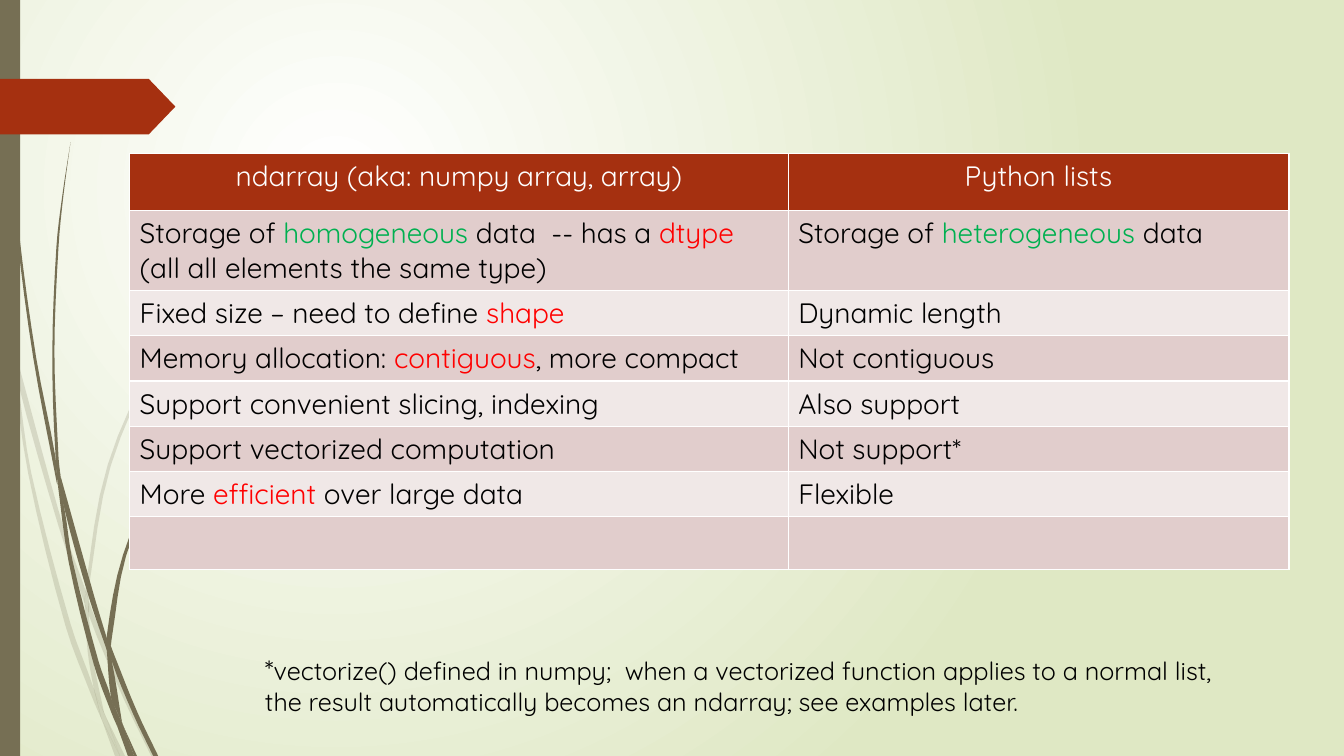
from lxml import etree
from pptx import Presentation
from pptx.dml.color import RGBColor
from pptx.enum import shapes, text
from pptx.oxml.ns import qn
from pptx.util import Pt

WHITE = RGBColor(0xFF, 0xFF, 0xFF)
BLACK = RGBColor(0, 0, 0)
GREEN = RGBColor(0x00, 0xB0, 0x50)
RED = RGBColor(0xFF, 0, 0)
RUST = RGBColor(0xA5, 0x30, 0x10)
OLIVE = RGBColor(0x76, 0x6F, 0x54)
PALE_GREEN = RGBColor(0xDF, 0xE8, 0xC4)
BANDS = (RGBColor(0xF0, 0xE8, 0xE7), RGBColor(0xE1, 0xCD, 0xCC))
FONT = "Quicksand"

HEADINGS = ("ndarray (aka: numpy array, array)", "Python lists")
# Each cell is a list of paragraphs; each paragraph is a list of (words, colour).
COMPARISON = [
    ([[("Storage of ", BLACK), ("homogeneous", GREEN), (" data  -- has a ", BLACK), ("dtype", RED)],
      [("(all all elements the same type)", BLACK)]],
     [[("Storage of ", BLACK), ("heterogeneous", GREEN), (" data", BLACK)]]),
    ([[("Fixed size – need to define ", BLACK), ("shape", RED)]], [[("Dynamic length", BLACK)]]),
    ([[("Memory allocation: ", BLACK), ("contiguous", RED), (", more compact", BLACK)]],
     [[("Not contiguous", BLACK)]]),
    ([[("Support convenient slicing, indexing", BLACK)]], [[("Also support", BLACK)]]),
    ([[("Support vectorized computation", BLACK)]], [[("Not support*", BLACK)]]),
    ([[("More ", BLACK), ("efficient ", RED), ("over large data", BLACK)]],
     [[("Flexible", BLACK)]]),
    ([], []),
]
COLUMN_WIDTHS = (470.4, 357.8)
ROW_HEIGHTS = (40.6, 57.2, 32.3, 32.3, 32.3, 32.3, 32.3, 37.8)
FOOTNOTE = [
    ("*", 20),
    ("vectorize() defined in numpy;  when a vectorized function applies to a normal list, "
     "the result automatically becomes an ndarray; see examples later.", 18),
]

# Grass blades: tip, then the rest of the left edge and of the right edge, downwards.
FAINT_BLADES = [
    ((0, 203), [(0.1, 215.3), (7.2, 247.7), (7.9, 252)], [(6.5, 231.8), (7.9, 252)]),
    ((10.1, 248.4), [(12.2, 270.7), (41.8, 375.8), (60.5, 431.3)], [(44.6, 374.4), (61.2, 421.9)]),
    ((63.4, 429.1), [(63.4, 439.2), (88.6, 499.7), (108, 540)],
     [(66.2, 437), (91.4, 498.2), (111.6, 540)]),
    ((75.6, 511.9), [(85.7, 540)], [(89.3, 540)]),
    ((7.9, 252), [(20.2, 338.4), (46.8, 447.1), (66.2, 499), (72.7, 514.1)],
     [(12.2, 270.7), (22.3, 337.7), (50.4, 445.7), (67, 491.8), (72.7, 514.1)]),
    ((60.5, 431.3), [(62.6, 465.1), (67, 491.8), (69.1, 498.2), (75.6, 511.9)],
     [(63.4, 439.2), (65.5, 465.1), (74.2, 508.3), (75.6, 511.9)]),
    ((224.6, 110.2), [(193, 141.8), (164.2, 175.7), (113.8, 250.6), (77, 331.9), (61.2, 420.5),
                      (63.4, 429.1)],
     [(193, 142.6), (164.9, 176.4), (115.2, 251.3), (79.2, 332.6), (63.4, 420.5), (63.4, 429.1)]),
    ((72.7, 514.1), [(82.1, 540)], [(85.7, 540)]),
    ((61.2, 421.9), [(60.5, 431.3), (63.4, 437.8)], [(63.4, 429.1), (63.4, 439.2)]),
    ((67, 491.8), [(71.3, 509), (72.7, 514.1), (85.7, 540)],
     [(69.1, 498.2), (75.6, 511.9), (85.7, 540)]),
]
DARK_BLADES = [
    ((2.5, 0), [(2.9, 34.6), (5, 79.2), (12.2, 167.8), (23.8, 255.6), (40.3, 343.4), (41, 346.3)],
     [(3.6, 34.6), (5.8, 78.5), (13.7, 167), (25.9, 255.6), (39.6, 326.2), (41, 346.3)]),
    ((43.2, 339.8), [(46.1, 363.6), (63.4, 426.2), (76.3, 464.4)], [(67, 424.8), (76.3, 455.8)]),
    ((79.2, 461.5), [(79.9, 472.3), (95, 509.8), (109.4, 540)],
     [(81.4, 467.3), (97.9, 508.3), (113, 540)]),
    ((41, 343.4), [(49, 401), (67, 474.5), (79.9, 509.8), (84.2, 519.8)],
     [(46.1, 363.6), (51.8, 400.3), (70.6, 473), (79.2, 497.5), (84.2, 519.8)]),
    ((50.4, 101.5), [(44.6, 139), (40.3, 176.4), (37.4, 251.3), (39.6, 323.3), (43.2, 339.8)],
     [(45.4, 139), (41.8, 176.4), (38.9, 251.3), (41.8, 326.2), (43.2, 339.8)]),
    ((87.8, 517.7), [(95.8, 540)], [(97.9, 540)]),
    ((39.6, 323.3), [(41, 343.4), (46.1, 363.6)], [(43.2, 339.8), (46.1, 363.6)]),
    ((187.2, 247.7), [(166.3, 268.6), (146.9, 291.6), (112.3, 341.3), (87.8, 396.7),
                      (76.3, 454.3), (79.2, 461.5)],
     [(166.3, 269.3), (147.6, 292.3), (113.8, 342.7), (90, 397.4), (79.9, 455.8), (79.2, 461.5)]),
    ((84.2, 519.8), [(91.4, 540)], [(94.3, 540)]),
    ((76.3, 464.4), [(79.2, 497.5), (83.5, 508.3), (87.8, 517.7)],
     [(79.9, 472.3), (87.1, 515.5), (87.8, 517.7)]),
    ((76.3, 454.3), [(76.3, 464.4), (79.9, 472.3)], [(79.2, 461.5), (79.9, 472.3)]),
    ((79.2, 497.5), [(84.2, 519.8), (93.6, 540)], [(83.5, 508.3), (87.8, 517.7), (95.8, 540)]),
]


def smooth(points, steps=4):
    """Return points along a Catmull-Rom curve that runs down the slide."""
    last = len(points) - 1

    def slope(i):
        (x0, y0), (x1, y1) = points[max(i - 1, 0)], points[min(i + 1, last)]
        return (x1 - x0) / (y1 - y0)

    curve = []
    for i in range(last):
        (x0, y0), (x1, y1) = points[i], points[i + 1]
        span = y1 - y0
        for t in (step / steps for step in range(steps)):
            x = ((2 * t**3 - 3 * t**2 + 1) * x0 + (t**3 - 2 * t**2 + t) * span * slope(i)
                 + (3 * t**2 - 2 * t**3) * x1 + (t**3 - t**2) * span * slope(i + 1))
            curve.append((x, y0 + t * span))
    return curve + [points[-1]]


def paint(shape, colour):
    shape.shadow.inherit = False
    shape.fill.solid()
    shape.fill.fore_color.rgb = colour
    shape.line.fill.background()


def add_blade(slide, tip, left_edge, right_edge, opacity=100):
    outline = smooth([tip] + left_edge) + smooth([tip] + right_edge)[::-1]
    outline = [(Pt(x), Pt(y)) for x, y in outline]
    builder = slide.shapes.build_freeform(*outline[0])
    builder.add_line_segments(outline[1:], close=True)
    blade = builder.convert_to_shape()
    paint(blade, OLIVE)
    if opacity < 100:
        colour = next(blade.element.iter(qn("a:srgbClr")))
        etree.SubElement(colour, qn("a:alpha"), val=str(opacity * 1000))


def add_run(paragraph, words, size, colour):
    run = paragraph.add_run()
    run.text = words
    run.font.name, run.font.size, run.font.bold = FONT, Pt(size), False
    run.font.color.rgb = colour


def fill_cell(cell, paragraphs, colour, alignment):
    cell.fill.solid()
    cell.fill.fore_color.rgb = colour
    frame = cell.text_frame
    for i, runs in enumerate(paragraphs):
        paragraph = frame.add_paragraph() if i else frame.paragraphs[0]
        paragraph.alignment = alignment
        for words, run_colour in runs:
            add_run(paragraph, words, 20, run_colour)


def set_background(slide):
    fill = slide.background.fill
    fill.gradient()
    for stop, colour in zip(fill.gradient_stops, (WHITE, PALE_GREEN)):
        stop.color.rgb = colour
    gradient = next(slide.element.iter(qn("a:gradFill")))
    gradient.remove(gradient.find(qn("a:lin")))
    circle = etree.SubElement(gradient, qn("a:path"), path="circle")
    etree.SubElement(circle, qn("a:fillToRect"), l="50000", t="50000", r="100000", b="100000")


def add_comparison(slide):
    table = slide.shapes.add_table(
        len(ROW_HEIGHTS), len(COLUMN_WIDTHS), Pt(92.6), Pt(109.5),
        Pt(sum(COLUMN_WIDTHS)), Pt(sum(ROW_HEIGHTS))).table
    for column, width in zip(table.columns, COLUMN_WIDTHS):
        column.width = Pt(width)
    for row, height in zip(table.rows, ROW_HEIGHTS):
        row.height = Pt(height)
    for c, heading in enumerate(HEADINGS):
        fill_cell(table.cell(0, c), [[(heading, WHITE)]], RUST, text.PP_ALIGN.CENTER)
    for r, row in enumerate(COMPARISON, start=1):
        for c, paragraphs in enumerate(row):
            fill_cell(table.cell(r, c), paragraphs, BANDS[r % 2], text.PP_ALIGN.LEFT)


def main():
    presentation = Presentation()
    presentation.slide_width, presentation.slide_height = Pt(960), Pt(540)
    slide = presentation.slides.add_slide(presentation.slide_layouts[6])
    set_background(slide)
    for blades, opacity in ((FAINT_BLADES, 20), (DARK_BLADES, 100)):
        for blade in blades:
            add_blade(slide, *blade, opacity=opacity)
    side_bar = slide.shapes.add_shape(shapes.MSO_SHAPE.RECTANGLE, 0, 0, Pt(14.4), Pt(540))
    paint(side_bar, OLIVE)
    tag = slide.shapes.add_shape(shapes.MSO_SHAPE.PENTAGON, 0, Pt(56.3), Pt(125.3), Pt(39.8))
    tag.adjustments[0] = 0.48
    paint(tag, RUST)
    add_comparison(slide)
    footnote = slide.shapes.add_textbox(Pt(182.2), Pt(462.6), Pt(703.4), Pt(53.3)).text_frame
    footnote.word_wrap = True
    for words, size in FOOTNOTE:
        add_run(footnote.paragraphs[0], words, size, BLACK)
    presentation.save("out.pptx")


if __name__ == "__main__":
    main()
